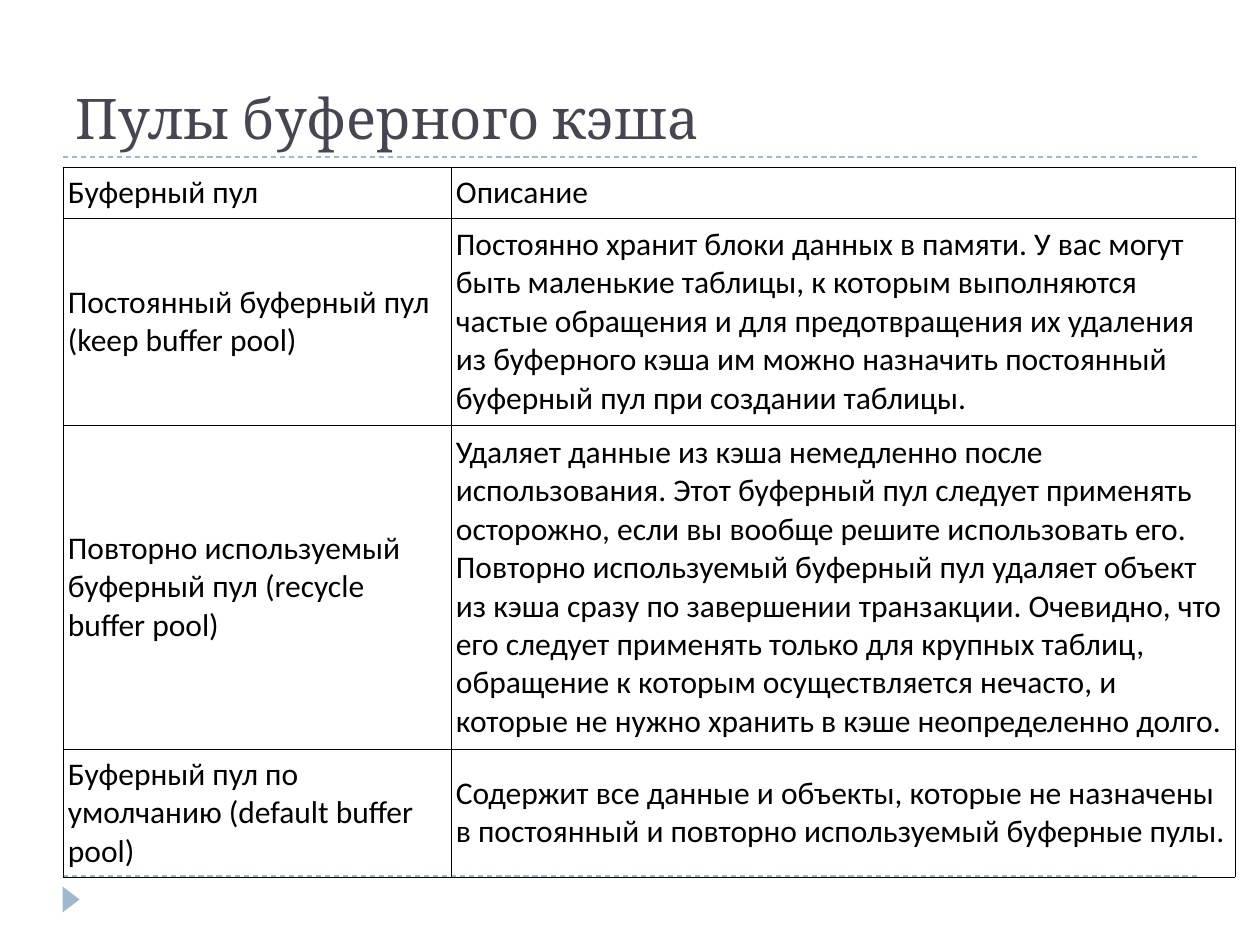
from lxml import etree
from pptx import Presentation
from pptx.dml.color import RGBColor
from pptx.enum.dml import MSO_LINE
from pptx.enum.shapes import MSO_CONNECTOR, MSO_SHAPE
from pptx.enum.text import MSO_ANCHOR
from pptx.oxml.ns import qn
from pptx.util import Pt

PX = 914400 / 126
DASH = MSO_LINE.DASH
LINE = MSO_CONNECTOR.STRAIGHT
TRIANGLE = MSO_SHAPE.ISOSCELES_TRIANGLE
MIDDLE, BOTTOM = MSO_ANCHOR.MIDDLE, MSO_ANCHOR.BOTTOM
COLORS = {"title": "464653", "accent": "9FB8CD", "text": "000000"}


def px(*nums):
    return [round(n * PX) for n in nums]


def write(frame, text, size=18, font="Calibri", color="text"):
    frame.word_wrap = True
    run = frame.paragraphs[0].add_run()
    run.text = text
    run.font.size = Pt(size)
    run.font.name = font
    run.font.color.rgb = RGBColor.from_string(COLORS[color])


prs = Presentation()
prs.slide_width, prs.slide_height = px(1260, 945)
slide = prs.slides.add_slide(prs.slide_layouts[6])
shapes = slide.shapes
accent = RGBColor.from_string(COLORS["accent"])

# Dashed rules above and below the content
for y in (876, 157):
    rule = shapes.add_connector(LINE, *px(63, y, 1197, y))
    rule.line.color.rgb = accent
    rule.line.width = Pt(0.75)
    rule.line.dash_style = DASH
    etree.SubElement(rule._element.spPr, qn("a:effectLst"))

# Footer marker
mark = shapes.add_shape(TRIANGLE, *px(58, 891, 26, 17))
mark.rotation = 90
mark.shadow.inherit = False
mark.fill.solid()
mark.fill.fore_color.rgb = accent
mark.line.fill.background()

# Title
title = shapes.add_textbox(*px(63, 21, 1134, 136)).text_frame
title.vertical_anchor = BOTTOM
write(title, "Пулы буферного кэша", size=32, font="Cambria", color="title")

# Table of buffer pools
rows = [
    ("Буферный пул", "Описание"),
    ("Постоянный буферный пул (keep buffer pool)",
     "Постоянно хранит блоки данных в памяти. У вас могут быть маленькие "
     "таблицы, к которым выполняются частые обращения и для предотвращения "
     "их удаления из буферного кэша им можно назначить постоянный буферный "
     "пул при создании таблицы."),
    ("Повторно используемый буферный пул (recycle buffer pool)",
     "Удаляет данные из кэша немедленно после использования. Этот буферный "
     "пул следует применять осторожно, если вы вообще решите использовать "
     "его. Повторно используемый буферный пул удаляет объект из кэша сразу "
     "по завершении транзакции. Очевидно, что его следует применять только "
     "для крупных таблиц, обращение к которым осуществляется нечасто, и "
     "которые не нужно хранить в кэше неопределенно долго."),
    ("Буферный пул по умолчанию (default buffer pool)",
     "Содержит все данные и объекты, которые не назначены в постоянный и "
     "повторно используемый буферные пулы."),
]
widths = (388, 784)
heights = (51, 207, 324, 128)
table = shapes.add_table(len(rows), len(widths),
                         *px(63, 167, sum(widths), sum(heights))).table
table.first_row = table.horz_banding = False
for col, width in zip(table.columns, px(*widths)):
    col.width = width
for row, height, texts in zip(table.rows, px(*heights), rows):
    row.height = height
    for cell, text in zip(row.cells, texts):
        cell.margin_left, cell.margin_right = px(5, 5)
        cell.margin_top, cell.margin_bottom = px(6, 6)
        cell.vertical_anchor = MIDDLE
        write(cell.text_frame, text)
        # Borders come before the fill in the cell properties
        props = cell._tc.get_or_add_tcPr()
        for side in ("a:lnL", "a:lnR", "a:lnT", "a:lnB"):
            edge = etree.SubElement(props, qn(side), w=str(Pt(0.45)))
            fill = etree.SubElement(edge, qn("a:solidFill"))
            etree.SubElement(fill, qn("a:srgbClr"), val=COLORS["text"])
        cell.fill.background()

prs.save("out.pptx")
